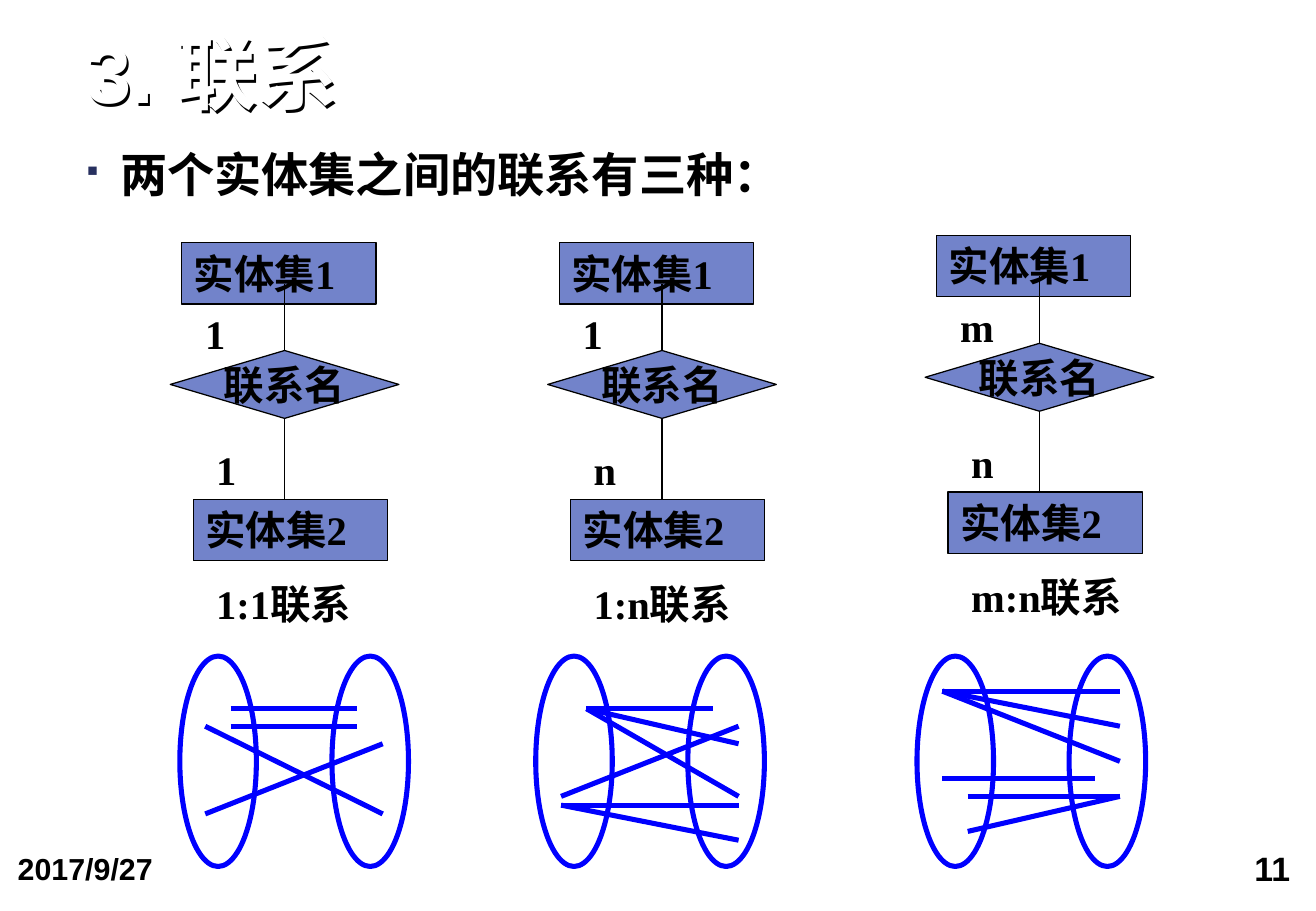
from lxml import etree
from pptx import Presentation
from pptx import util as u
from pptx.dml.color import RGBColor
from pptx.enum import shapes as sh, text as tx
from pptx.oxml.ns import qn

HUES = {"ink": "000000", "paper": "FFFFFF", "fill": "7283CA",
        "link": "0000FF", "bullet": "27305F"}
TITLE = "3. 联系"
LEAD = "两个实体集之间的联系有三种："
DATE, PAGE = "2017/9/27", "11"
ENTITY, RELATION = "实体集", "联系名"

# Top of each diagram, its two labels, left of its sets, and the links
# between them in grid steps (x1, y1, x2, y2)
KINDS = [
    {"top": 5.07, "ends": ("1", "1"), "sets": 3.76,
     "links": [(2, 3, 7, 3), (2, 4, 7, 4), (1, 4, 8, 9), (1, 9, 8, 5)]},
    {"top": 5.07, "ends": ("1", "n"), "sets": 11.2,
     "links": [(2, 3, 7, 3), (2, 3, 8, 5), (2, 3, 8, 8), (1, 8, 8, 4),
               (1, 8.5, 8, 8.5), (1, 8.5, 8, 10.5)]},
    {"top": 4.92, "ends": ("m", "n"), "sets": 19.17,
     "links": [(1, 2, 8, 2), (1, 2, 8, 4), (1, 2, 8, 6), (2, 8, 8, 8),
               (2, 10, 8, 8), (1, 7, 7, 7)]},
]
AXIS, PITCH = 5.95, 7.89
SETTOP, SETW, SETH, SETGAP = 13.72, 1.6, 4.4, 3.18
STEPX, STEPY = SETGAP / 6, SETH / 12

deck = Presentation()
deck.slide_width, deck.slide_height = u.Cm(27.51), u.Cm(19.05)
slide = deck.slides.add_slide(deck.slide_layouts[6])


def hue(name):
    return RGBColor.from_string(HUES[name])


def write(shape, words, size=24, font="Times New Roman", color="ink",
          align="LEFT", anchor="TOP", wrap=True, pad=(0.25, 0.13),
          lead=None, bullet=False):
    frame = shape.text_frame
    frame.word_wrap = wrap
    frame.vertical_anchor = getattr(tx.MSO_ANCHOR, anchor)
    frame.margin_left = frame.margin_right = u.Cm(pad[0])
    frame.margin_top = frame.margin_bottom = u.Cm(pad[1])
    para = frame.paragraphs[0]
    para.alignment = getattr(tx.PP_ALIGN, align)
    if lead:
        para.line_spacing = lead
    if bullet:
        props = para._p.get_or_add_pPr()
        props.set("marL", str(u.Cm(0.71)))
        props.set("indent", str(-u.Cm(0.71)))
        tint = etree.SubElement(props, qn("a:buClr"))
        etree.SubElement(tint, qn("a:srgbClr"), val=HUES["bullet"])
        etree.SubElement(props, qn("a:buSzPct"), val="60000")
        etree.SubElement(props, qn("a:buFont"), typeface="Wingdings",
                         pitchFamily="2", charset="2")
        etree.SubElement(props, qn("a:buChar"), char="§")
    run = para.add_run()
    run.text = words
    run.font.size, run.font.bold, run.font.name = u.Pt(size), True, font
    run.font.color.rgb = hue(color)


def label(words, left, top, width, height, **style):
    box = slide.shapes.add_textbox(*map(u.Cm, (left, top, width, height)))
    write(box, words, **style)
    return box


def shade(box):
    """Cast a shadow from the text of an unfilled box."""
    effect = etree.SubElement(box._element.spPr, qn("a:effectLst"))
    cast = etree.SubElement(effect, qn("a:outerShdw"), dist=str(u.Cm(0.08)),
                            dir="2700000", algn="ctr", rotWithShape="0")
    etree.SubElement(cast, qn("a:srgbClr"), val=HUES["ink"])


def draw(kind, left, top, width, height, fill="fill", line="ink", weight=0.75):
    shape = slide.shapes.add_shape(getattr(sh.MSO_SHAPE, kind),
                                   *map(u.Cm, (left, top, width, height)))
    shape.shadow.inherit = False
    if fill:
        shape.fill.solid()
        shape.fill.fore_color.rgb = hue(fill)
    else:
        shape.fill.background()
    shape.line.color.rgb = hue(line)
    shape.line.width = u.Pt(weight)
    return shape


def join(x1, y1, x2, y2, color="ink", weight=0.75):
    line = slide.shapes.add_connector(sh.MSO_CONNECTOR.STRAIGHT,
                                      *map(u.Cm, (x1, y1, x2, y2)))
    line.line.color.rgb = hue(color)
    line.line.width = u.Pt(weight)
    etree.SubElement(line._element.spPr, qn("a:effectLst"))


def diagram(axis, top, ends):
    """Two entity boxes joined through a relation diamond on one axis."""
    write(draw("RECTANGLE", axis - 2.15, top, 4.06, 1.29), ENTITY + "1")
    write(draw("DIAMOND", axis - 2.39, top + 2.26, 4.78, 1.42), RELATION,
          align="CENTER", anchor="MIDDLE", wrap=False)
    write(draw("RECTANGLE", axis - 1.91, top + 5.37, 4.06, 1.29), ENTITY + "2")
    join(axis, top + 2.26, axis, top + 0.86)
    join(axis, top + 3.68, axis, top + 5.37)
    label(ends[0], axis - 1.91, top + 1.27, 1.2, 1.27)
    label(ends[1], axis - 1.68, top + 4.1, 1.2, 1.27)
    label(":".join(ends) + "联系", axis - 1.68, top + 6.91, 4.29, 1.27)


def mapping(left, links):
    """Two sets with links placed on the step grid."""
    for x in (left, left + SETGAP):
        draw("OVAL", x, SETTOP, SETW, SETH, None, "link", 3)
    for x1, y1, x2, y2 in links:
        join(left + x1 * STEPX, SETTOP + y1 * STEPY,
             left + x2 * STEPX, SETTOP + y2 * STEPY, "link", 3)


label(PAGE, 20.34, 17.58, 6.96, 1.47, size=20, font="Arial", align="RIGHT",
      pad=(0.33, 0.15))
label(DATE, 0.04, 17.63, 6.38, 1.6, size=18, font="Arial", pad=(0.33, 0.15))
shade(label(TITLE, 1.8, 0.71, 24.51, 1.83, size=48, font="Arial",
            color="paper", anchor="BOTTOM", pad=(0, 0), lead=0.9))
label(LEAD, 1.8, 3.18, 24.51, 1.07, size=28, pad=(0, 0), lead=0.9, bullet=True)
for i, kind in enumerate(KINDS):
    diagram(AXIS + i * PITCH, kind["top"], kind["ends"])
for kind in KINDS:
    mapping(kind["sets"], kind["links"])

deck.save("out.pptx")
